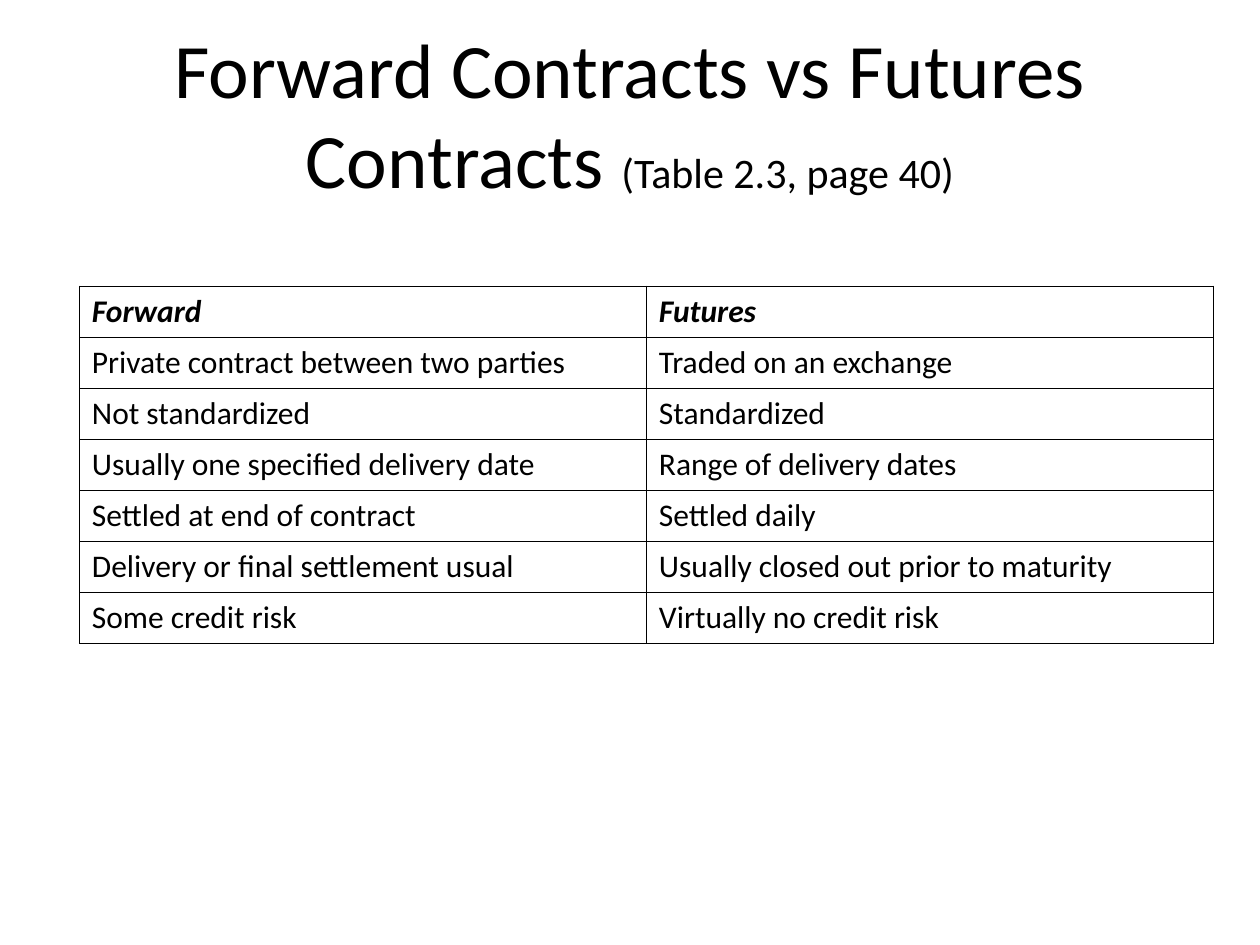
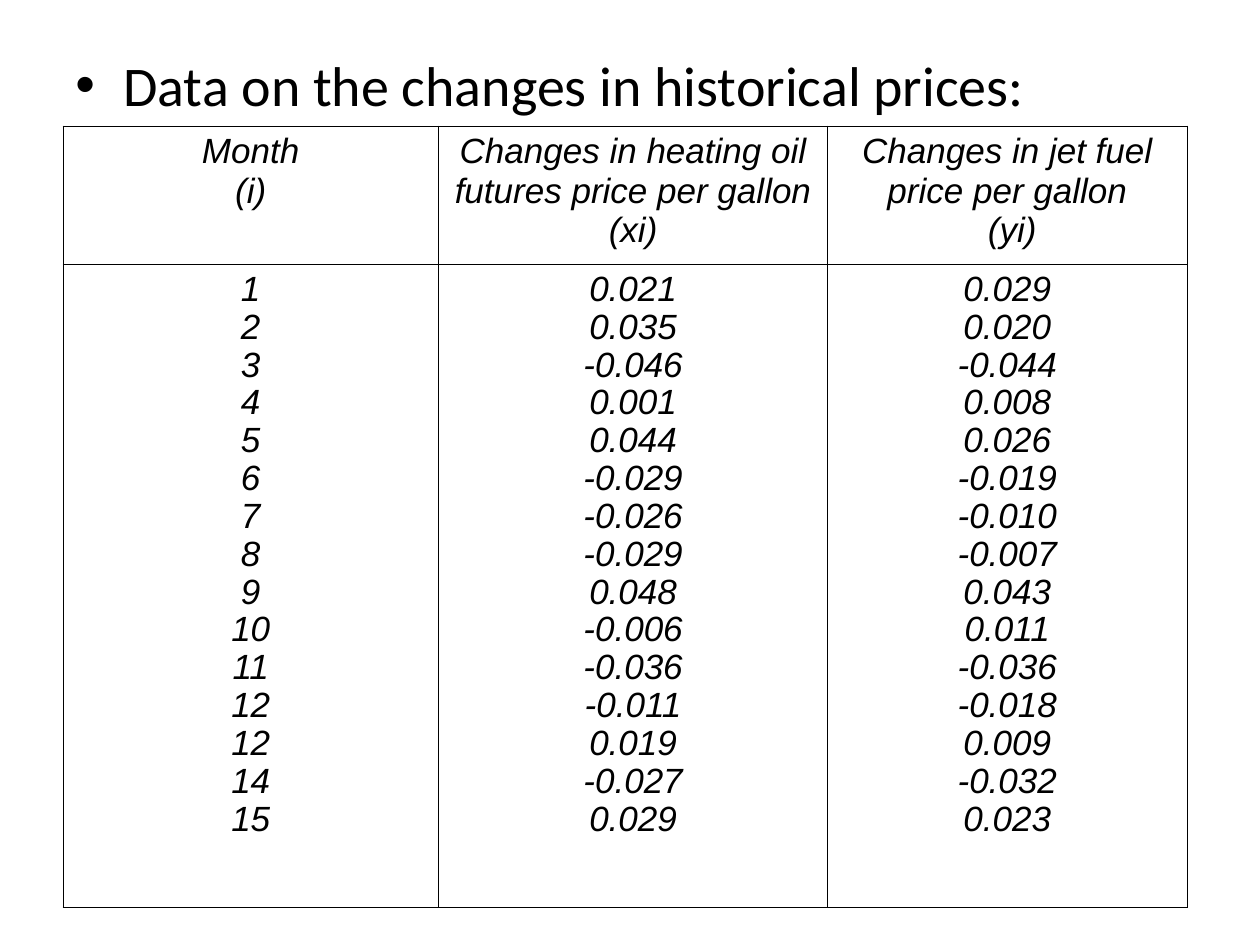
from lxml import etree
from pptx import Presentation
from pptx.dml.color import RGBColor
from pptx.enum import text
from pptx.oxml import ns
from pptx.util import Inches, Pt

COLORS = {"ink": "000000", "paper": "FFFFFF"}
HEADING_FONT, FIGURES_FONT = "Calibri", "Arial"
BORDER_WIDTH = Pt(0.45)
TIGHT = 0.97

CONTRACTS = [
    ("Forward", "Futures"),
    ("Private contract between two parties", "Traded on an exchange"),
    ("Not standardized", "Standardized"),
    ("Usually one specified delivery date", "Range of delivery dates"),
    ("Settled at end of contract", "Settled daily"),
    ("Delivery or final settlement usual", "Usually closed out prior to maturity"),
    ("Some credit risk", "Virtually no credit risk"),
]

PRICE_HEADINGS = [
    ["Month", "(i)"],
    ["Changes in heating oil futures price per gallon (xi)"],
    ["Changes in jet fuel price per gallon", " (yi)"],
]
PRICE_CHANGES = [
    ("1", "0.021", "0.029"),
    ("2", "0.035", "0.020"),
    ("3", "-0.046", "-0.044"),
    ("4", "0.001", "0.008"),
    ("5", "0.044", "0.026"),
    ("6", "-0.029", "-0.019"),
    ("7", "-0.026", "-0.010"),
    ("8", "-0.029", "-0.007"),
    ("9", "0.048", "0.043"),
    ("10", "-0.006", "0.011"),
    ("11", "-0.036", "-0.036"),
    ("12", "-0.011", "-0.018"),
    ("12", "0.019", "0.009"),
    ("14", "-0.027", "-0.032"),
    ("15", "0.029", "0.023"),
]


def add_run(paragraph, words, size, font=HEADING_FONT, bold=False, italic=False):
    """Add one styled run to a paragraph."""
    run = paragraph.add_run()
    run.text = words
    run.font.size, run.font.name = Pt(size), font
    run.font.bold, run.font.italic = bold, italic
    run.font.color.rgb = RGBColor.from_string(COLORS["ink"])


def add_frame(slide, box, anchor):
    """Add a wrapping text box and return its text frame."""
    frame = slide.shapes.add_textbox(*map(Inches, box)).text_frame
    frame.word_wrap = True
    frame.vertical_anchor = anchor
    return frame


def add_title(slide, box, runs):
    """Add a centred title made of (words, size) runs."""
    title = add_frame(slide, box, text.MSO_ANCHOR.MIDDLE).paragraphs[0]
    title.alignment = text.PP_ALIGN.CENTER
    title.line_spacing = TIGHT
    for words, size in runs:
        add_run(title, words, size)


def add_bullet(slide, box, words):
    """Add a bulleted line with a hanging indent."""
    line = add_frame(slide, box, text.MSO_ANCHOR.TOP).paragraphs[0]
    properties = line._p.get_or_add_pPr()
    properties.set("marL", str(Inches(0.38)))
    properties.set("indent", str(-Inches(0.38)))
    etree.SubElement(properties, ns.qn("a:buFont")).set("typeface", FIGURES_FONT)
    etree.SubElement(properties, ns.qn("a:buChar")).set("char", "•")
    add_run(line, words, 32)


def rule_cell(cell):
    """Draw thin rules on every side of a cell and leave it unfilled."""
    properties = cell._tc.get_or_add_tcPr()
    for side in ("lnL", "lnR", "lnT", "lnB"):
        rule = etree.SubElement(properties, ns.qn(f"a:{side}"), w=str(BORDER_WIDTH))
        fill = etree.SubElement(rule, ns.qn("a:solidFill"))
        etree.SubElement(fill, ns.qn("a:srgbClr"), val=COLORS["ink"])
    cell.fill.background()


def add_ruled_table(slide, left, top, widths, heights, side_margin):
    """Add an empty table with thin rules and return it."""
    table = slide.shapes.add_table(
        len(heights), len(widths), Inches(left), Inches(top),
        Inches(sum(widths)), Inches(sum(heights))).table
    table.first_row = table.horz_banding = False
    for column, width in zip(table.columns, widths):
        column.width = Inches(width)
    for row, height in zip(table.rows, heights):
        row.height = Inches(height)
    for cell in table.iter_cells():
        cell.margin_left = cell.margin_right = Inches(side_margin)
        rule_cell(cell)
    return table


def fill_figures(cell, lines, spacing):
    """Write centred italic lines, one paragraph each."""
    frame = cell.text_frame
    for index, words in enumerate(lines):
        paragraph = frame.add_paragraph() if index else frame.paragraphs[0]
        paragraph.alignment = text.PP_ALIGN.CENTER
        paragraph.line_spacing = spacing
        add_run(paragraph, words, 20, FIGURES_FONT, italic=True)


def add_contract_table(slide, left, top, width, height):
    """Compare forward and futures contracts in two equal columns."""
    rows = len(CONTRACTS)
    table = add_ruled_table(slide, left, top, [width / 2] * 2, [height / rows] * rows, 0.1)
    for r, pair in enumerate(CONTRACTS):
        for c, words in enumerate(pair):
            paragraph = table.cell(r, c).text_frame.paragraphs[0]
            add_run(paragraph, words, 18, bold=r == 0, italic=r == 0)


def add_price_table(slide, left, top, widths, heights):
    """List monthly price changes under their headings."""
    table = add_ruled_table(slide, left, top, widths, heights, 0.08)
    for c, (heading, figures) in enumerate(zip(PRICE_HEADINGS, zip(*PRICE_CHANGES))):
        fill_figures(table.cell(0, c), heading, 1.0)
        fill_figures(table.cell(1, c), figures, TIGHT)


def add_blank_slide(deck):
    """Add a blank slide with the shared background."""
    slide = deck.slides.add_slide(deck.slide_layouts[6])
    slide.background.fill.solid()
    slide.background.fill.fore_color.rgb = RGBColor.from_string(COLORS["paper"])
    return slide


def main():
    """Build and save both slides."""
    deck = Presentation()
    deck.slide_width, deck.slide_height = Inches(10), Inches(7.5)

    contracts = add_blank_slide(deck)
    add_title(contracts, (0.5, 0.3, 9, 1.25),
              [("Forward Contracts vs Futures Contracts ", 44), ("(Table 2.3, page 40)", 24)])
    add_contract_table(contracts, 0.63, 2.27, 9, 2.84)

    prices = add_blank_slide(deck)
    add_bullet(prices, (0.5, 0.35, 9, 6.35), "Data on the changes in historical prices:")
    add_price_table(prices, 0.5, 1, [2.98, 3.09, 2.85], [1.1, 5.1])

    deck.save("out.pptx")


if __name__ == "__main__":
    main()
